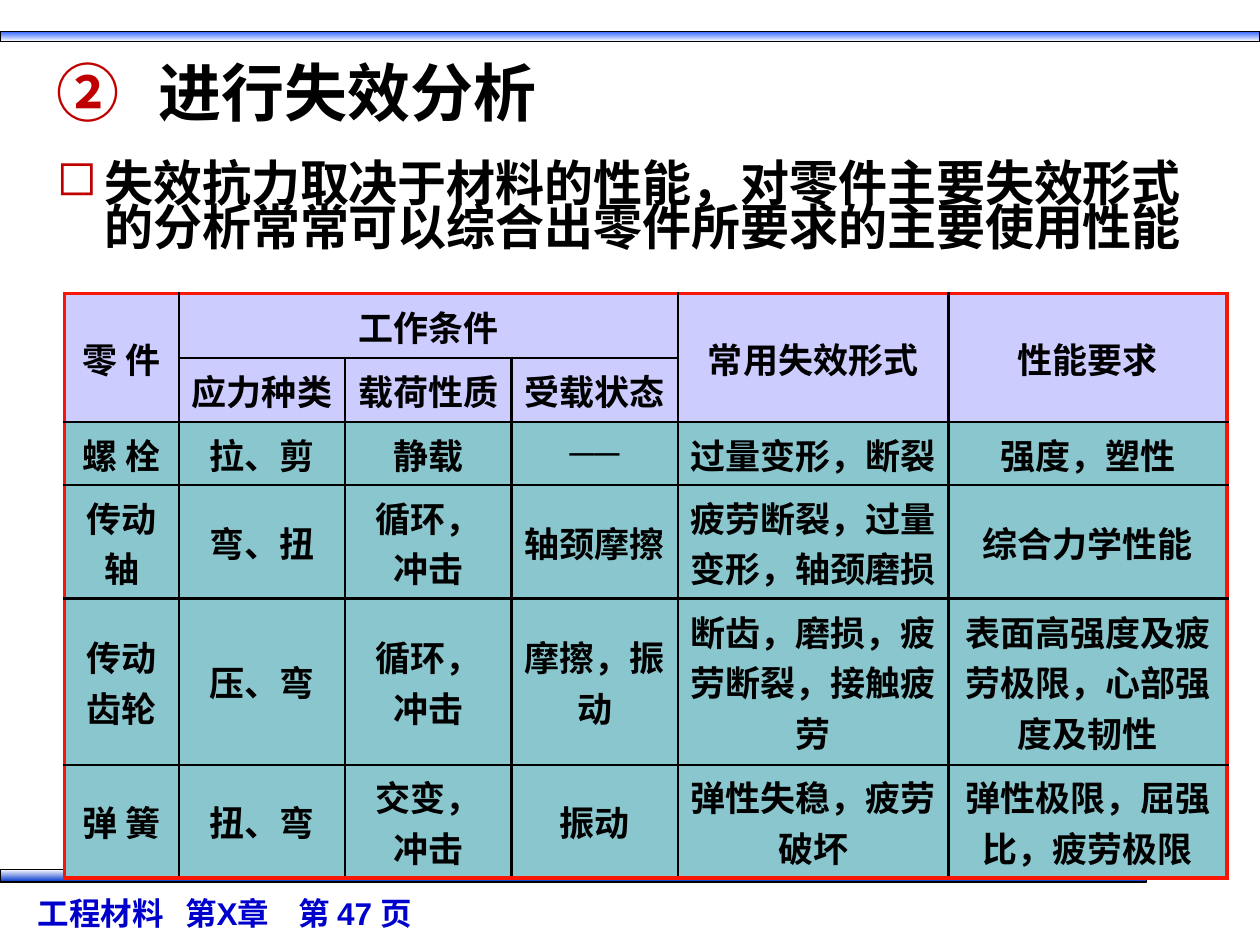
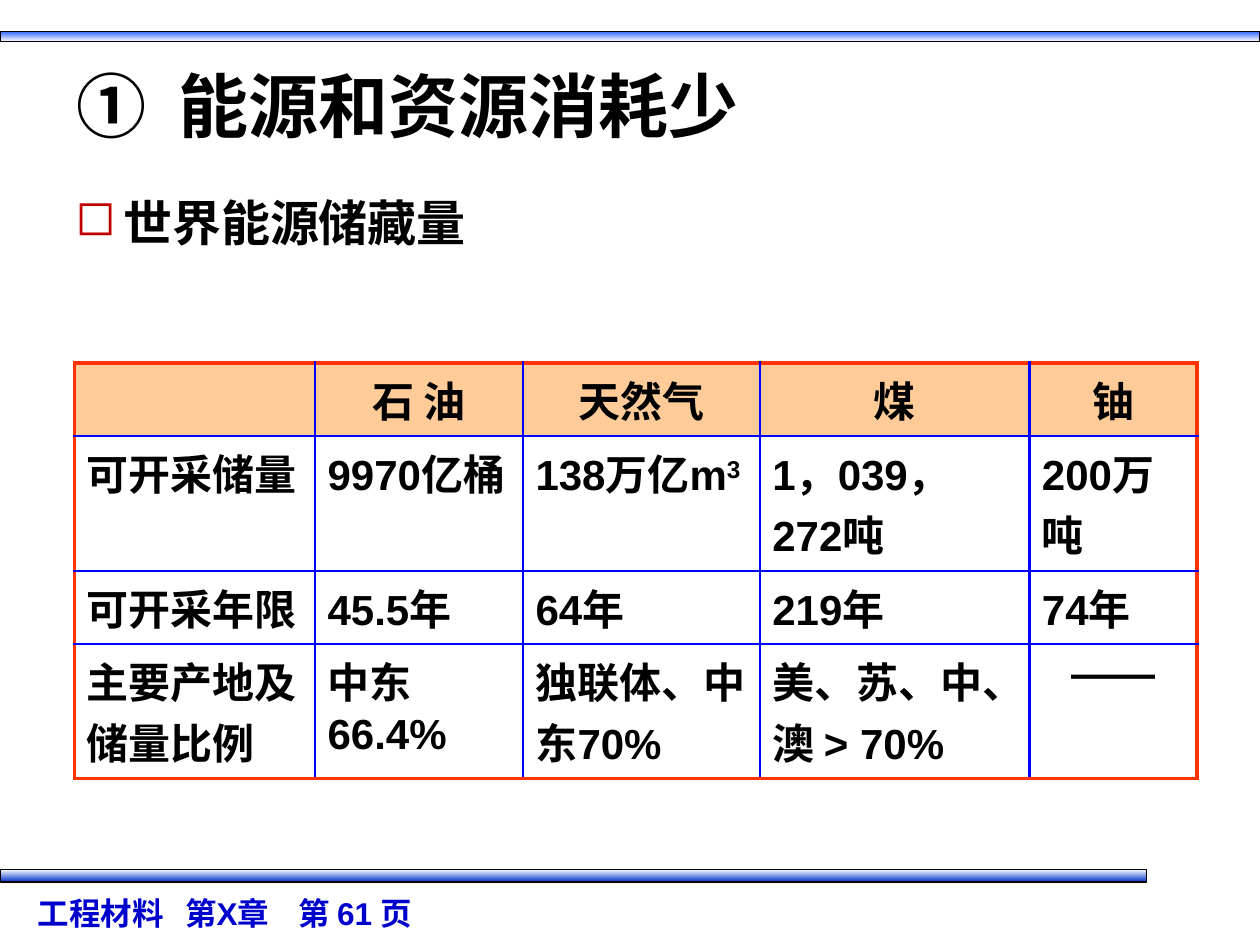
from lxml import etree
from pptx import Presentation
from pptx import util as u
from pptx.dml.color import RGBColor
from pptx.enum import shapes, text
from pptx.oxml.ns import qn

CJK = "Noto Sans CJK SC"
LATIN = "Arial"
BLACK = RGBColor(0, 0, 0)
WHITE = RGBColor(255, 255, 255)
BAND_TOP = RGBColor(0x33, 0x66, 0xFF)
BAND_BOTTOM = RGBColor(0x00, 0x33, 0xCC)
FOOTER_BLUE = RGBColor(0x00, 0x00, 0xCC)
BULLET_RED = RGBColor(0xC0, 0x00, 0x00)
LAVENDER = RGBColor(0xCC, 0xCC, 0xFF)
TEAL = RGBColor(0x8A, 0xC6, 0xCD)
FRAME_RED = RGBColor(0xF9, 0x16, 0x05)
PEACH = RGBColor(0xFF, 0xCC, 0x99)
FRAME_ORANGE = RGBColor(0xFF, 0x33, 0x00)
GRID_BLUE = RGBColor(0x00, 0x00, 0xFF)

FAILURE_ROWS = [
    ["零 件", "工作条件", "", "", "常用失效形式", "性能要求"],
    ["", "应力种类", "载荷性质", "受载状态", "", ""],
    ["螺 栓", "拉、剪", "静载", "──", "过量变形，断裂", "强度，塑性"],
    ["传动轴", "弯、扭", "循环，\n冲击", "轴颈摩擦",
     "疲劳断裂，过量变形，轴颈磨损", "综合力学性能"],
    ["传动齿轮", "压、弯", "循环，\n冲击", "摩擦，振动",
     "断齿，磨损，疲劳断裂，接触疲劳", "表面高强度及疲劳极限，心部强度及韧性"],
    ["弹 簧", "扭、弯", "交变，\n冲击", "振动",
     "弹性失稳，疲劳破坏", "弹性极限，屈强比，疲劳极限"],
]
FAILURE_MERGES = [(0, 0, 1, 0), (0, 1, 0, 3), (0, 4, 1, 4), (0, 5, 1, 5)]

ENERGY_ROWS = [
    ["", "石 油", "天然气", "煤", "铀"],
    ["可开采储量", "9970亿桶", "138万亿m^3", "1，039，272吨", "200万吨"],
    ["可开采年限", "45.5年", "64年", "219年", "74年"],
    ["主要产地及储量比例", "中东66.4%", "独联体、中东70%", "美、苏、中、澳 > 70%", "——"],
]


def write(p, words, size=20, font=LATIN, color=BLACK, align=None, spacing=None):
    """Write bold text into a paragraph; a part after ^ is superscript."""
    p.alignment = align
    if spacing:
        p.line_spacing = spacing
    for i, part in enumerate(words.split("^")):
        r = p.add_run()
        r.text = part
        r.font.size = u.Pt(size)
        r.font.name = font
        r.font.bold = True
        r.font.color.rgb = color
        rPr = r._r.get_or_add_rPr()
        etree.SubElement(rPr, qn("a:ea")).set("typeface", CJK)
        if i:
            rPr.set("baseline", "30000")


def add_bullet(p, tag, indent, color, **attrs):
    """Give a paragraph a coloured hanging bullet."""
    pPr = p._p.get_or_add_pPr()
    pPr.set("marL", str(u.Inches(indent)))
    pPr.set("indent", str(-u.Inches(indent)))
    clr = etree.SubElement(pPr, qn("a:buClr"))
    etree.SubElement(clr, qn("a:srgbClr")).set("val", str(color))
    bullet = etree.SubElement(pPr, qn(tag))
    for name, value in attrs.items():
        bullet.set(name, value)


def add_textbox(slide, left, top, width, height):
    """Add a wrapping text box and return its first paragraph."""
    tf = slide.shapes.add_textbox(*map(u.Inches, (left, top, width, height))).text_frame
    tf.word_wrap = True
    return tf.paragraphs[0]


def add_title(slide, words, number, box, size, font, color):
    """Add a title led by a circled number."""
    p = add_textbox(slide, *box)
    add_bullet(p, "a:buAutoNum", 0.81, color, type="circleNumDbPlain", startAt=str(number))
    write(p, words, size=size, font=font, spacing=0.9)


def add_point(slide, words, box):
    """Add a body point led by a red square."""
    p = add_textbox(slide, *box)
    add_bullet(p, "a:buChar", 0.38, BULLET_RED, char="◻")
    write(p, words, size=28, font=CJK, spacing=0.75)


def add_band(slide, top, width, height, start, end):
    """Add a horizontal band with a vertical gradient."""
    sp = slide.shapes.add_shape(shapes.MSO_SHAPE.RECTANGLE, 0, u.Inches(top),
                                u.Inches(width), u.Inches(height))
    sp.shadow.inherit = False
    sp.fill.gradient()
    sp.fill.gradient_angle = 270
    for stop, color in zip(sp.fill.gradient_stops, (start, end)):
        stop.color.rgb = color
    sp.line.color.rgb = BLACK
    sp.line.width = u.Pt(0.75)


def add_footer(slide, page):
    """Add the course, chapter and page line."""
    p = add_textbox(slide, 0.2, 7.05, 6.38, 0.4)
    tabs = etree.SubElement(p._p.get_or_add_pPr(), qn("a:tabLst"))
    for stop in (1.17, 2.07):
        etree.SubElement(tabs, qn("a:tab"), pos=str(u.Inches(stop)), algn="l")
    write(p, f"工程材料\t第X章\t第 {page} 页", size=18, color=FOOTER_BLUE)


def add_base_slide(prs, page):
    """Add a blank slide with the shared bands and footer."""
    slide = prs.slides.add_slide(prs.slide_layouts[6])
    add_band(slide, 0.25, 10, 0.08, BAND_TOP, WHITE)
    add_band(slide, 6.9, 9.1, 0.1, WHITE, BAND_BOTTOM)
    add_footer(slide, page)
    return slide


def set_border(cell, side, color, width):
    """Draw one side of a table cell."""
    ln = etree.SubElement(cell._tc.get_or_add_tcPr(), qn(f"a:ln{side}"), w=str(u.Pt(width)))
    fill = etree.SubElement(ln, qn("a:solidFill"))
    etree.SubElement(fill, qn("a:srgbClr")).set("val", str(color))


def add_grid(slide, left, top, cols, heights, rows, fill_for, align_for,
             grid, frame, size, anchor, merges=()):
    """Add a table with thin inner lines and a thick outer frame."""
    table = slide.shapes.add_table(len(rows), len(cols), u.Inches(left), u.Inches(top),
                                   u.Inches(sum(cols)), u.Inches(sum(heights))).table
    table.first_row = table.horz_banding = False
    for column, width in zip(table.columns, cols):
        column.width = u.Inches(width)
    for row, height in zip(table.rows, heights):
        row.height = u.Inches(height)
    for r1, c1, r2, c2 in merges:
        table.cell(r1, c1).merge(table.cell(r2, c2))
    for i, row in enumerate(rows):
        for j, words in enumerate(row):
            cell = table.cell(i, j)
            outer = {"L": j == 0, "R": j == len(cols) - 1,
                     "T": i == 0, "B": i == len(rows) - 1}
            for side, is_outer in outer.items():
                set_border(cell, side, *((frame, 2.25) if is_outer else (grid, 1.5)))
            color = fill_for(i)
            if color is None:
                cell.fill.background()
            else:
                cell.fill.solid()
                cell.fill.fore_color.rgb = color
            cell.vertical_anchor = anchor
            tf = cell.text_frame
            for k, line in enumerate(words.split("\n") if words else []):
                p = tf.add_paragraph() if k else tf.paragraphs[0]
                write(p, line, size=size, align=align_for(i, words))


def build_failure_slide(prs):
    """Build the failure analysis slide."""
    slide = add_base_slide(prs, 47)
    add_title(slide, "进行失效分析", 2, (0.35, 0.44, 6.82, 1.22), 36, CJK, BULLET_RED)
    add_point(slide, "失效抗力取决于材料的性能，对零件主要失效形式"
              "的分析常常可以综合出零件所要求的主要使用性能", (0.35, 1.27, 9.29, 0.99))
    add_grid(slide, 0.51, 2.33, [0.91, 1.32, 1.32, 1.32, 2.15, 2.21],
             [0.51, 0.51, 0.5, 0.9, 1.32, 0.9], FAILURE_ROWS,
             lambda i: LAVENDER if i < 2 else TEAL,
             lambda i, words: text.PP_ALIGN.CENTER,
             BLACK, FRAME_RED, 20, text.MSO_ANCHOR.MIDDLE, FAILURE_MERGES)


def build_energy_slide(prs):
    """Build the world energy reserves slide."""
    slide = add_base_slide(prs, 61)
    add_title(slide, "能源和资源消耗少", 1, (0.51, 0.52, 8.91, 0.88), 40, LATIN, BLACK)
    add_point(slide, "世界能源储藏量", (0.5, 1.59, 8.92, 0.7))
    add_grid(slide, 0.59, 2.88, [1.91, 1.65, 1.88, 2.14, 1.33],
             [0.58, 1.07, 0.58, 1.07], ENERGY_ROWS,
             lambda i: None if i else PEACH,
             lambda i, words: text.PP_ALIGN.CENTER if i == 0 or words == "——" else None,
             GRID_BLUE, FRAME_ORANGE, 24, text.MSO_ANCHOR.TOP)


def main():
    """Build and save the deck."""
    prs = Presentation()
    prs.slide_width = u.Inches(10)
    prs.slide_height = u.Inches(7.5)
    build_failure_slide(prs)
    build_energy_slide(prs)
    prs.save("out.pptx")


if __name__ == "__main__":
    main()
